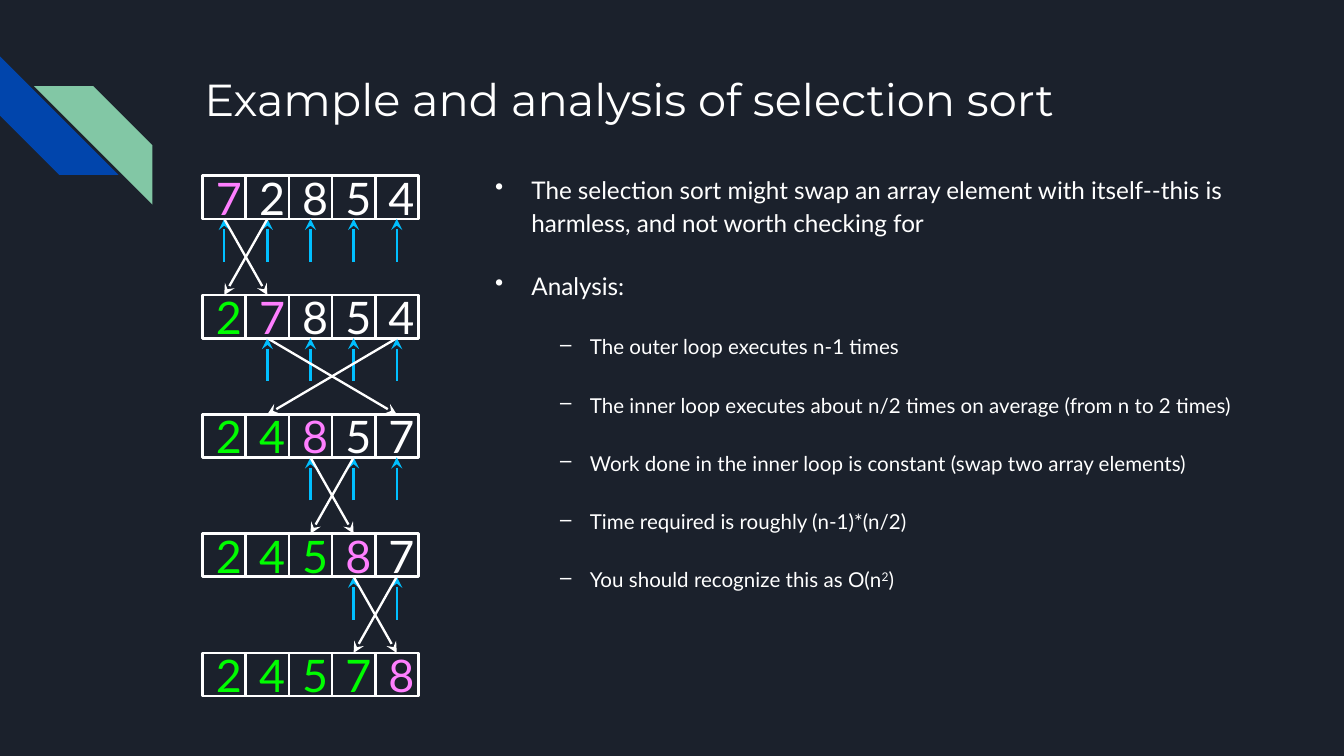
from dataclasses import dataclass

from lxml.etree import SubElement
from pptx import Presentation
from pptx.dml.color import RGBColor
from pptx.enum.shapes import MSO_CONNECTOR, MSO_SHAPE
from pptx.enum.text import MSO_ANCHOR, PP_ALIGN
from pptx.oxml.ns import qn
from pptx.util import Pt


@dataclass(frozen=True)
class Theme:
    background: RGBColor = RGBColor.from_string("1B212C")
    white: RGBColor = RGBColor.from_string("FFFFFF")
    blue: RGBColor = RGBColor.from_string("0145AC")
    mint: RGBColor = RGBColor.from_string("82C7A5")
    pointer: RGBColor = RGBColor.from_string("00BFFF")
    current: RGBColor = RGBColor.from_string("FF7FFF")
    sorted: RGBColor = RGBColor.from_string("00FD00")
    heading_font: str = "Montserrat"
    body_font: str = "Lato"
    title_size: int = 24
    digit_size: int = 24
    point_size: int = 13
    detail_size: int = 11


theme = Theme()


def style_runs(paragraph, font_name, size, color):
    for run in paragraph.runs:
        run.font.name = font_name
        run.font.size = Pt(size)
        run.font.color.rgb = color


def add_arrow(start, end, color):
    """Draw a shadowless line with a stealth head at its end point."""
    arrow = slide.shapes.add_connector(
        MSO_CONNECTOR.STRAIGHT, *(Pt(length) for length in (*start, *end)))
    arrow.line.color.rgb = color
    arrow.line.width = Pt(1.25)
    SubElement(arrow.line._get_or_add_ln(), qn("a:tailEnd"), type="stealth")
    SubElement(arrow._element.spPr, qn("a:effectLst"))
    return arrow


presentation = Presentation()
presentation.slide_width = Pt(720)
presentation.slide_height = Pt(405)
slide = presentation.slides.add_slide(presentation.slide_layouts[6])
slide.background.fill.solid()
slide.background.fill.fore_color.rgb = theme.background

# Corner stripes
for left, top, rotation, color in [(0, 30.2, 270, theme.blue), (18.2, 46.2, 90, theme.mint)]:
    stripe = slide.shapes.add_shape(
        MSO_SHAPE.DIAGONAL_STRIPE, Pt(left), Pt(top), Pt(63.5), Pt(63.5))
    stripe.rotation = rotation
    stripe.shadow.inherit = False
    stripe.fill.solid()
    stripe.fill.fore_color.rgb = color
    stripe.line.fill.background()

# Title
title = slide.shapes.add_textbox(Pt(102.4), Pt(31), Pt(554), Pt(72)).text_frame
title.word_wrap = True
title.margin_left = title.margin_right = title.margin_top = title.margin_bottom = Pt(7.2)
title.text = "Example and analysis of selection sort"
style_runs(title.paragraphs[0], theme.heading_font, theme.title_size, theme.white)

# Selection sort: one row of cells per pass
GRID_LEFT, GRID_TOP = 108.6, 94.2
CELL, ROW_PITCH = 23.1, 63.9
POINTER_LENGTH = 23

values = [7, 2, 8, 5, 4]
rows, swaps = [], []
for step in range(len(values)):
    row_top = GRID_TOP + step * ROW_PITCH
    row = []
    for column, value in enumerate(values):
        cell = slide.shapes.add_shape(
            MSO_SHAPE.FLOWCHART_PROCESS, Pt(GRID_LEFT + column * CELL), Pt(row_top),
            Pt(CELL), Pt(CELL))
        cell.shadow.inherit = False
        cell.fill.background()
        cell.line.color.rgb = theme.white
        cell.line.width = Pt(1.5)
        digit = cell.text_frame
        digit.word_wrap = True
        digit.vertical_anchor = MSO_ANCHOR.MIDDLE
        digit.text = str(value)
        digit.paragraphs[0].alignment = PP_ALIGN.CENTER
        color = (theme.sorted if column < step
                 else theme.current if column == step else theme.white)
        style_runs(digit.paragraphs[0], theme.body_font, theme.digit_size, color)
        row.append(cell)
    rows.append(row)

    smallest = values.index(min(values[step:]))
    swaps.append((step, smallest))
    values[step], values[smallest] = values[smallest], values[step]

# Pointers to the cells compared, and the crossing arrows of each swap
for step, (first, second) in enumerate(swaps[:-1]):
    row_bottom = GRID_TOP + step * ROW_PITCH + CELL
    for column in range(step, len(values)):
        center = GRID_LEFT + (column + 0.5) * CELL
        pointer = add_arrow(
            (center, row_bottom + POINTER_LENGTH), (center, row_bottom), theme.pointer)
        pointer.end_connect(rows[step][column], 2)
    for source, target in [(first, second), (second, first)]:
        swap = add_arrow(
            (GRID_LEFT + (source + 0.5) * CELL, row_bottom),
            (GRID_LEFT + (target + 0.5) * CELL, row_bottom + ROW_PITCH - CELL), theme.white)
        swap.begin_connect(rows[step][source], 2)
        swap.end_connect(rows[step + 1][target], 0)

# Analysis: level and text of each paragraph
points = [
    (0, "The selection sort might swap an array element with itself--this is harmless, "
        "and not worth checking for"),
    (0, "Analysis:"),
    (1, "The outer loop executes n-1 times"),
    (1, "The inner loop executes about n/2 times on average (from n to 2 times)"),
    (1, "Work done in the inner loop is constant (swap two array elements)"),
    (1, "Time required is roughly (n-1)*(n/2)"),
    (1, "You should recognize this as O(n"),
]
levels = [
    (theme.point_size, "•", 27.2, 19.5),
    (theme.detail_size, "–", 58.5, 16),
]
analysis = slide.shapes.add_textbox(Pt(250.4), Pt(84.2), Pt(445), Pt(299)).text_frame
analysis.word_wrap = True
analysis.margin_left = analysis.margin_right = Pt(7.2)
analysis.margin_top = analysis.margin_bottom = Pt(7.2)
for index, (level, text) in enumerate(points):
    paragraph = analysis.add_paragraph() if index else analysis.paragraphs[0]
    size, bullet, indent, hanging = levels[level]
    paragraph.text = text
    paragraph.level = level
    paragraph.line_spacing = 1.15
    paragraph.space_before = Pt(16 if index else 0)
    properties = paragraph._p.get_or_add_pPr()
    properties.set("marL", str(Pt(indent)))
    properties.set("indent", str(-Pt(hanging)))
    bullet_color = SubElement(properties, qn("a:buClr"))
    SubElement(bullet_color, qn("a:srgbClr"), val=str(theme.white))
    SubElement(properties, qn("a:buChar"), char=bullet)
    style_runs(paragraph, theme.body_font, size, theme.white)

# The last paragraph ends with a raised exponent
exponent = paragraph.add_run()
exponent.text = "2"
paragraph.add_run().text = ")"
style_runs(paragraph, theme.body_font, theme.detail_size, theme.white)
exponent._r.get_or_add_rPr().set("baseline", "30000")

presentation.save("out.pptx")
